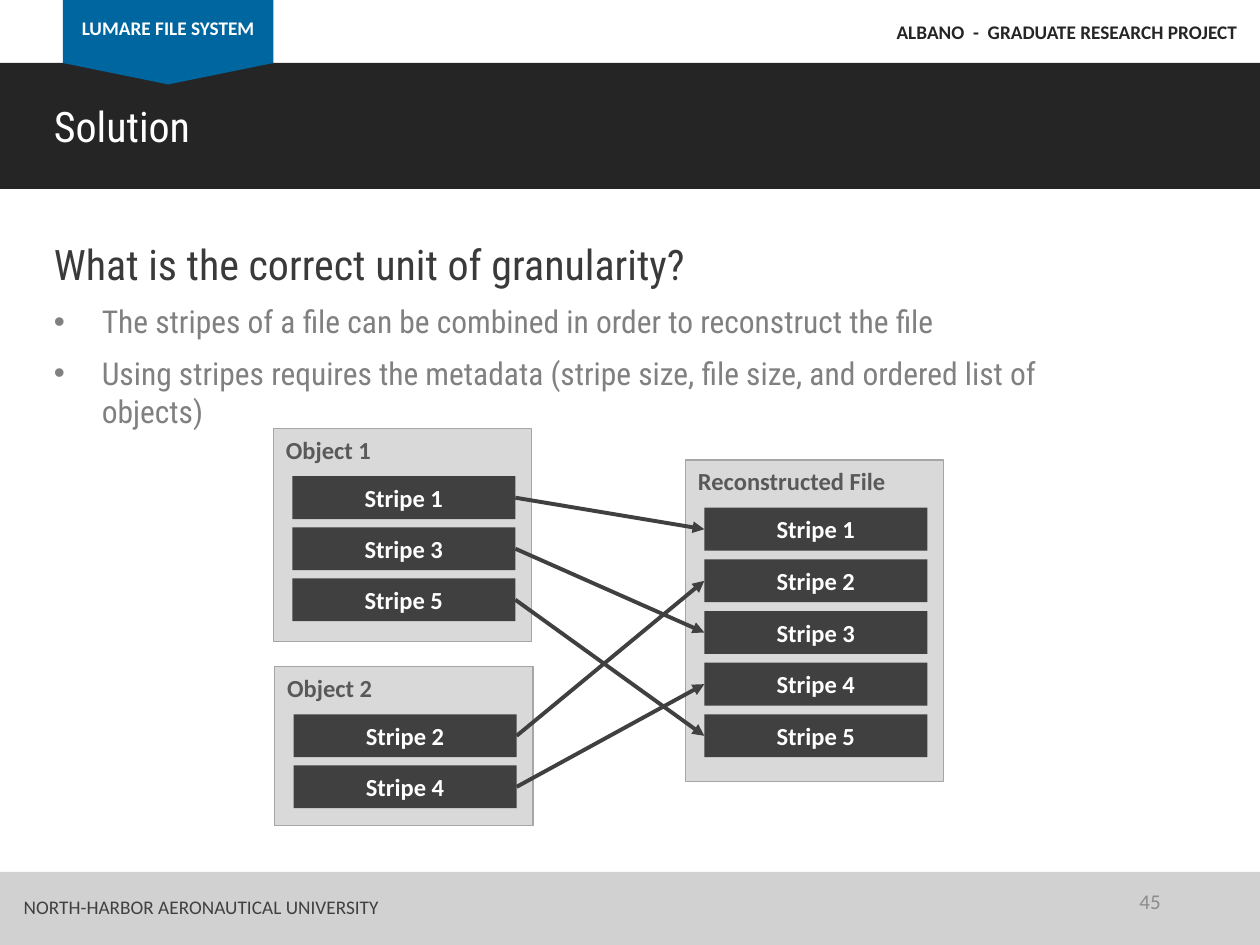
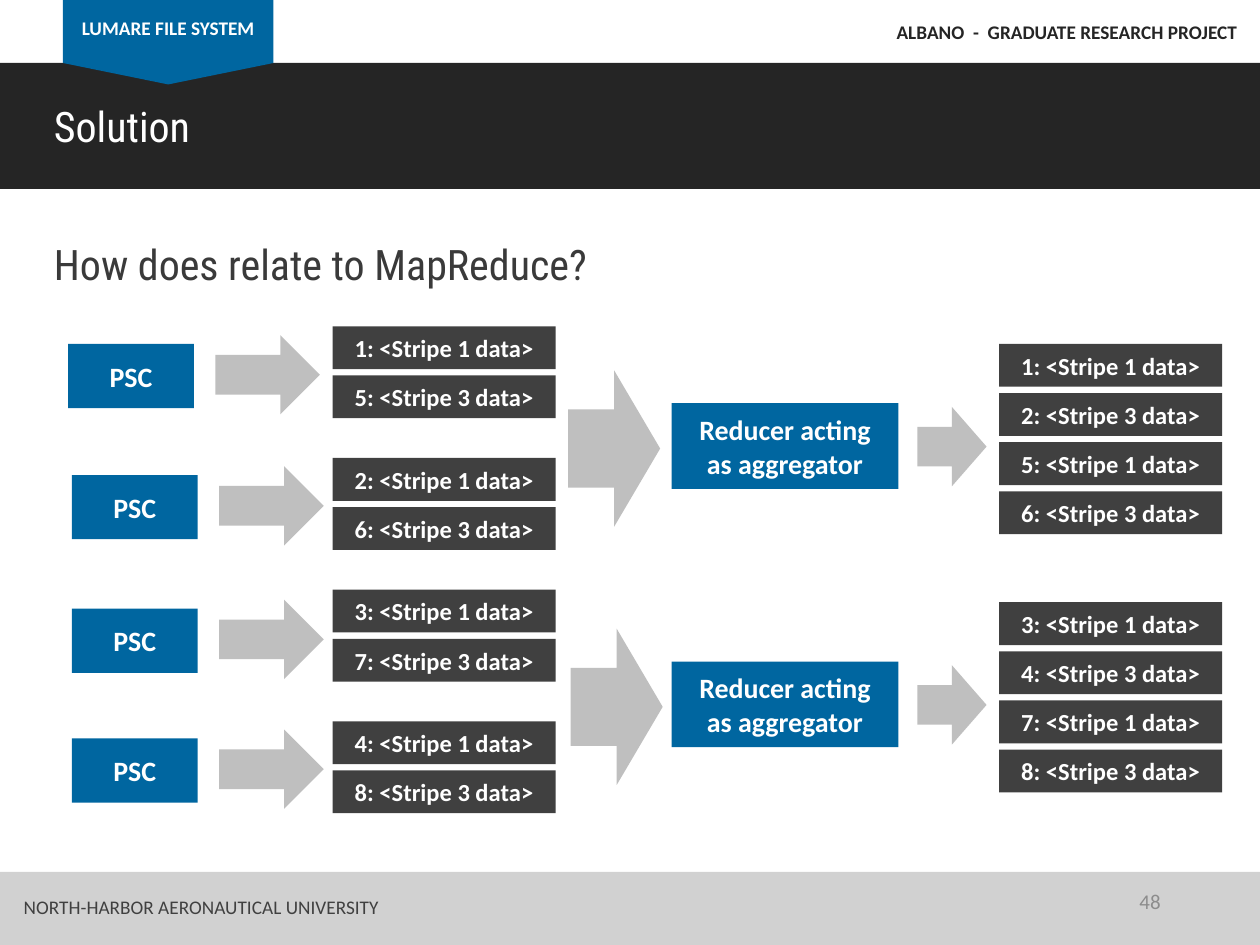
from lxml import etree
from pptx import Presentation
from pptx.dml.color import RGBColor
from pptx.enum import shapes, text
from pptx.oxml.ns import qn
from pptx.util import Inches, Pt

COLORS = {
    "band": "252525", "blue": "0066A0", "footer": "D1D1D1", "white": "FFFFFF",
    "dark": "404040", "heading": "3A3A3A", "bullet": "808080", "panel": "D9D9D9",
    "panel_line": "A6A6A6", "panel_text": "595959", "arrow": "BFBFBF", "number": "8C8C8C",
}
BODY, DISPLAY = "Calibri", "Roboto Condensed"
LEFT, CENTER, RIGHT = text.PP_ALIGN.LEFT, text.PP_ALIGN.CENTER, text.PP_ALIGN.RIGHT
TOP, MIDDLE = text.MSO_ANCHOR.TOP, text.MSO_ANCHOR.MIDDLE
RECT = shapes.MSO_SHAPE.RECTANGLE
STRIPE_W, STRIPE_H = 1.77, 0.34


def rgb(name):
    return RGBColor.from_string(COLORS[name])


def write(sp, lines, size, color, bold=False, align=LEFT, anchor=TOP, font=BODY, wrap=True):
    tf = sp.text_frame
    tf.text = "\n".join(lines)
    tf.word_wrap = wrap
    tf.vertical_anchor = anchor
    for p in tf.paragraphs:
        p.alignment = align
        for r in p.runs:
            r.font.name, r.font.size, r.font.bold = font, Pt(size), bold
            r.font.color.rgb = rgb(color)


def add_text(s, box, lines, size, color, **style):
    sp = s.shapes.add_textbox(*map(Inches, box))
    write(sp, lines, size, color, **style)
    return sp


def add_block(s, box, fill, line=None, kind=RECT):
    sp = s.shapes.add_shape(kind, *map(Inches, box))
    sp.shadow.inherit = False
    sp.fill.solid()
    sp.fill.fore_color.rgb = rgb(fill)
    if line:
        sp.line.color.rgb = rgb(line)
        sp.line.width = Pt(0.75)
    else:
        sp.line.fill.background()
    return sp


def add_label(s, box, label, fill, size):
    sp = add_block(s, box, fill)
    write(sp, [label], size, "white", bold=True, align=CENTER, anchor=MIDDLE)
    return sp


def add_stack(s, left, top, pitch, labels):
    return [add_label(s, (left, top + i * pitch, STRIPE_W, STRIPE_H), label, "dark", 14)
            for i, label in enumerate(labels)]


def add_panel(s, box, title, pitch, numbers):
    left, top = box[:2]
    panel = add_block(s, box, "panel", "panel_line")
    write(panel, [title], 14, "panel_text", bold=True)
    stripes = add_stack(s, left + 0.15, top + 0.38, pitch, [f"Stripe {n}" for n in numbers])
    return dict(zip(numbers, stripes))


def add_block_arrow(s, box):
    add_block(s, box, "arrow", kind=shapes.MSO_SHAPE.RIGHT_ARROW)


def link(s, source, target):
    c = s.shapes.add_connector(shapes.MSO_CONNECTOR.STRAIGHT, 0, 0, 0, 0)
    c.begin_connect(source, 3)
    c.end_connect(target, 1)
    c.line.color.rgb = rgb("dark")
    c.line.width = Pt(2.25)
    etree.SubElement(c.line._get_or_add_ln(), qn("a:tailEnd"), type="triangle")
    etree.SubElement(c._element.spPr, qn("a:effectLst"))


def add_bullets(s, box, lines):
    sp = add_text(s, box, lines, 18, "bullet", font=DISPLAY)
    for p in sp.text_frame.paragraphs:
        p.space_after = Pt(8)
        pPr = p._p.get_or_add_pPr()
        pPr.set("marL", str(Inches(0.38)))
        pPr.set("indent", str(-Inches(0.38)))
        etree.SubElement(pPr, qn("a:buFont"), typeface="Arial")
        etree.SubElement(pPr, qn("a:buChar"), char="•")


def add_frame(prs, heading, number):
    s = prs.slides.add_slide(prs.slide_layouts[6])
    add_block(s, (0, 0.5, 10, 1), "band")
    add_block(s, (0.5, 0, 1.67, 0.5), "blue")
    tip = add_block(s, (0.5, 0.5, 1.67, 0.17), "blue", kind=shapes.MSO_SHAPE.ISOSCELES_TRIANGLE)
    tip.rotation = 180
    add_block(s, (0, 6.92, 10, 0.58), "footer")
    add_text(s, (0.5, 0.08, 1.67, 0.29), ["LUMARE FILE SYSTEM"], 11, "white", bold=True, align=CENTER)
    add_text(s, (6.9, 0.11, 3.02, 0.29), ["ALBANO  -  GRADUATE RESEARCH PROJECT"], 11, "band",
             bold=True, align=RIGHT)
    add_text(s, (0.33, 0.75, 4.67, 0.5), ["Solution"], 24, "white", font=DISPLAY)
    add_text(s, (0.33, 1.84, 6.44, 0.5), [heading], 24, "heading", font=DISPLAY)
    add_text(s, (0.09, 7.06, 3.03, 0.29), ["NORTH-HARBOR AERONAUTICAL UNIVERSITY"], 11, "dark",
             wrap=False)
    add_text(s, (7.06, 6.95, 2.25, 0.4), [str(number)], 12, "number", align=RIGHT, anchor=MIDDLE)
    return s


def build_granularity(prs):
    s = add_frame(prs, "What is the correct unit of granularity?", 45)
    add_bullets(s, (0.33, 2.35, 8.86, 0.82), [
        "The stripes of a file can be combined in order to reconstruct the file",
        "Using stripes requires the metadata (stripe size, file size, and ordered list of objects)",
    ])
    stored = add_panel(s, (2.17, 3.4, 2.05, 1.69), "Object 1", 0.405, (1, 3, 5))
    stored |= add_panel(s, (2.18, 5.29, 2.05, 1.26), "Object 2", 0.405, (2, 4))
    rebuilt = add_panel(s, (5.44, 3.65, 2.05, 2.55), "Reconstructed File", 0.41, range(1, 6))
    for n, stripe in stored.items():
        link(s, stripe, rebuilt[n])


def build_mapreduce(prs):
    s = add_frame(prs, "How does relate to MapReduce?", 48)
    for i, (left, top) in enumerate([(0.54, 2.73), (0.57, 3.77), (0.57, 4.83), (0.57, 5.86)]):
        add_label(s, (left, top, 1, 0.51), "PSC", "blue", 16)
        add_block_arrow(s, (left + 1.17, top - 0.07, 0.83, 0.63))
        add_stack(s, 2.64, 2.59 + i * 1.045, 0.39,
                  [f"{i + 1}: <Stripe 1 data>", f"{i + 5}: <Stripe 3 data>"])
    for top, arrow_left, keys in [(2.73, 4.51, (1, 2, 5, 6)), (4.78, 4.53, (3, 4, 7, 8))]:
        add_block_arrow(s, (arrow_left, top + 0.21, 0.73, 1.24))
        add_label(s, (5.33, top + 0.47, 1.8, 0.68), "Reducer acting as aggregator", "blue", 16)
        add_block_arrow(s, (7.28, top + 0.5, 0.55, 0.63))
        add_stack(s, 7.93, top, 0.39,
                  [f"{key}: <Stripe {stripe} data>" for key, stripe in zip(keys, (1, 3, 1, 3))])


def main():
    prs = Presentation()
    prs.slide_width, prs.slide_height = Inches(10), Inches(7.5)
    build_granularity(prs)
    build_mapreduce(prs)
    prs.save("out.pptx")


if __name__ == "__main__":
    main()
